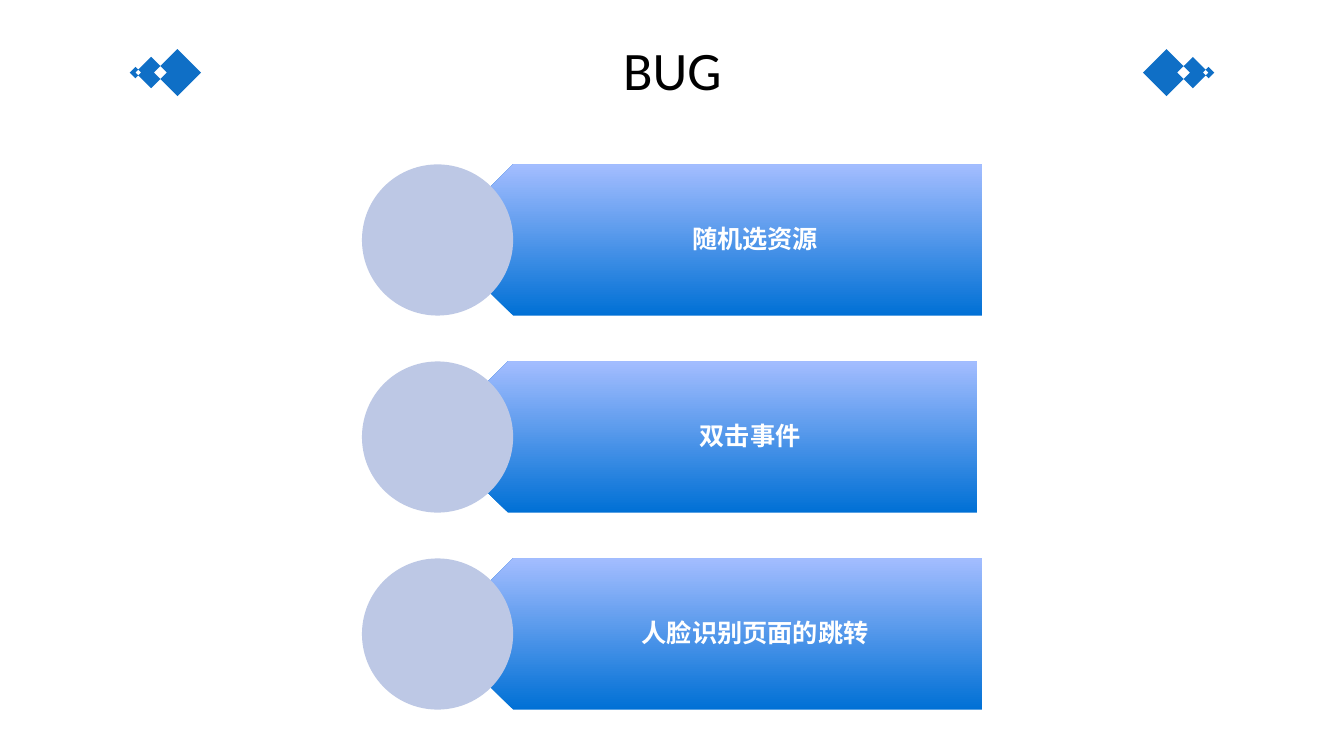
from dataclasses import dataclass

from pptx import Presentation
from pptx.dml.color import RGBColor
from pptx.enum.shapes import MSO_SHAPE as Kind
from pptx.enum.text import MSO_ANCHOR as Anchor, PP_ALIGN as Align
from pptx.util import Inches, Pt

WIDE, HIGH = 13.33, 7.5
BLUE, DEEP, PALE, DISC = "0F6FC6", "0070D5", "A3BDFF", "BDC8E5"

# Shares of the slide, in percent of its width and height
TOP, STEP, TALL = 21.75, 26.06, 20
DISC_X, DISC_W = 26.93, 11.25
BAR_X, BAR_W = 32.56, 40.5
TEXT_X, TEXT_W = 35.41, 37.66

# Three notched squares on a 50 by 50 grid of hundredths of an inch
SIDE = 50
TILES = [
    [(0, 42), (4, 42), (4, 46), (8, 46), (8, 50), (0, 50)],
    [(4, 24), (17, 24), (17, 33), (26, 33), (26, 46), (8, 46), (8, 42), (4, 42)],
    [(17, 0), (50, 0), (50, 33), (26, 33), (26, 24), (17, 24)],
]


@dataclass
class Box:
    x: float
    y: float
    w: float
    h: float

    def emu(self) -> list[int]:
        pairs = zip((self.x, self.y, self.w, self.h), (WIDE, HIGH) * 2)
        return [Inches(share * full / 100) for share, full in pairs]


@dataclass
class Item:
    label: str
    shift: float = 0


ITEMS = [Item("随机选资源"), Item("双击事件", -0.38), Item("人脸识别页面的跳转")]


def rgb(code: str) -> RGBColor:
    return RGBColor.from_string(code)


def plain(shape, fill: str = "") -> None:
    shape.shadow.inherit = False
    shape.line.fill.background()
    if fill:
        shape.fill.solid()
        shape.fill.fore_color.rgb = rgb(fill)


def write(slide, text: str, box: Box, *, size: float, font: str, color: str,
          bold: bool = False, pads: tuple = (0.05, 0.05, 0.05, 0.05)) -> None:
    frame = slide.shapes.add_textbox(*box.emu()).text_frame
    frame.word_wrap = True
    frame.vertical_anchor = Anchor.MIDDLE
    (frame.margin_left, frame.margin_top,
     frame.margin_right, frame.margin_bottom) = map(Inches, pads)
    para = frame.paragraphs[0]
    para.alignment = Align.CENTER
    para.line_spacing = 0.9
    run = para.add_run()
    run.text = text
    run.font.name, run.font.size, run.font.bold = font, Pt(size), bold
    run.font.color.rgb = rgb(color)


def motif(slide, left: float, flip: bool) -> None:
    tiles = [[(SIDE - x if flip else x, y) for x, y in tile] for tile in TILES]
    pen = slide.shapes.build_freeform(*tiles[0][0], scale=Inches(0.01))
    for tile in tiles:
        if tile is not tiles[0]:
            pen.move_to(*tile[0])
        pen.add_line_segments(tile[1:], close=True)
    shape = pen.convert_to_shape(Inches(left), Inches(0.47))
    shape.rotation = 315 if flip else 45
    plain(shape, BLUE)


def row(slide, item: Item, top: float) -> None:
    # Arrow bar pointing left, pale at the top
    bar = slide.shapes.add_shape(
        Kind.PENTAGON, *Box(BAR_X + item.shift, top, BAR_W, TALL).emu())
    bar.rotation = 180
    plain(bar)
    bar.fill.gradient()
    bar.fill.gradient_angle = 270
    for stop, code in zip(bar.fill.gradient_stops, (DEEP, PALE)):
        stop.color.rgb = rgb(code)
    write(slide, item.label, Box(TEXT_X + item.shift, top, TEXT_W, TALL),
          size=18, font="Arial", color="FFFFFF", bold=True,
          pads=(0.66, 0.07, 0.14, 0.07))
    # Disc over the tip
    disc = slide.shapes.add_shape(
        Kind.OVAL, *Box(DISC_X, top, DISC_W, TALL).emu())
    plain(disc, DISC)


def main() -> None:
    deck = Presentation()
    deck.slide_width, deck.slide_height = Inches(WIDE), Inches(HIGH)
    slide = deck.slides.add_slide(deck.slide_layouts[6])

    # Header
    edge = 1.39
    motif(slide, edge, False)
    motif(slide, WIDE - edge - SIDE / 100, True)
    write(slide, "BUG", Box(17.4, 4, 65.25, 11.33),
          size=38.7, font="Calibri", color="000000")

    # List
    for i, item in enumerate(ITEMS):
        row(slide, item, TOP + i * STEP)
    deck.save("out.pptx")


if __name__ == "__main__":
    main()
